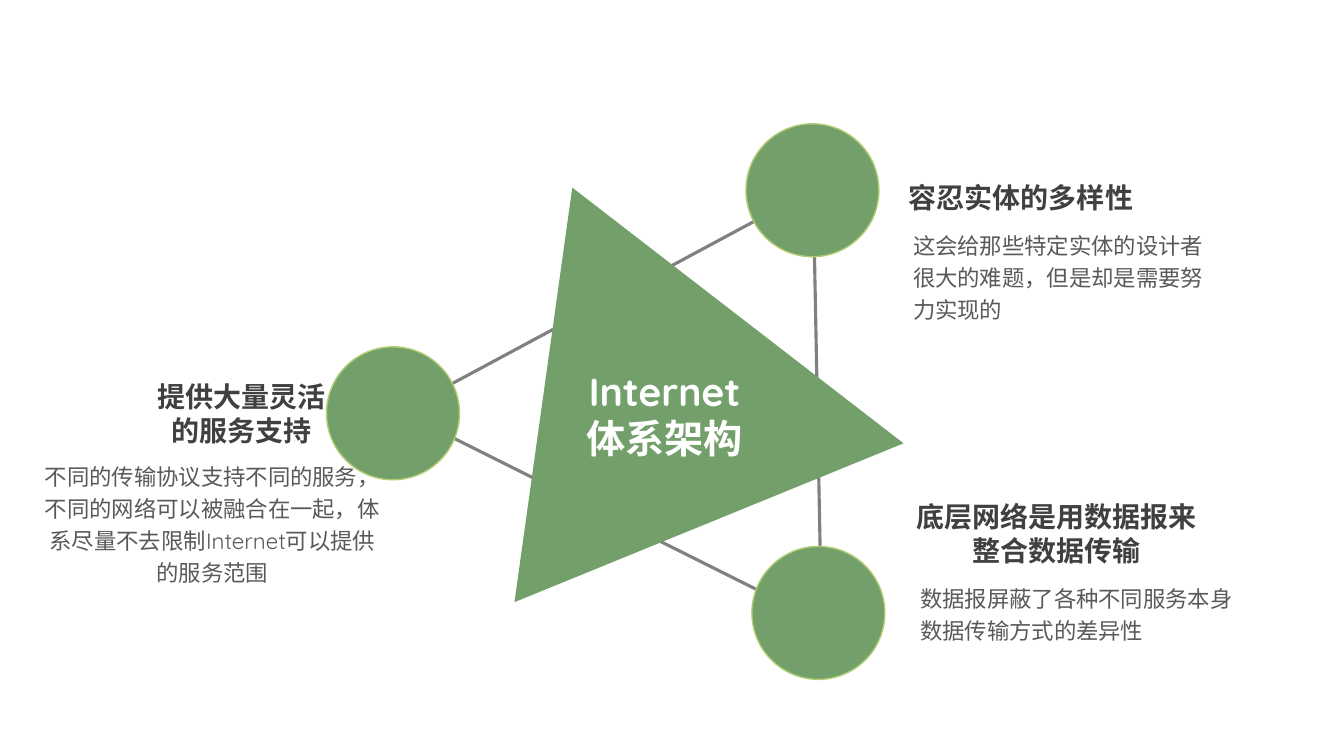
"""Build a slide on the Internet architecture: a triangle linked to three principles."""
from typing import NamedTuple

import lxml.etree
import pptx
import pptx.dml.color
import pptx.enum.shapes
import pptx.enum.text
import pptx.oxml.ns
import pptx.shapes.autoshape
import pptx.slide
import pptx.util

Cm = pptx.util.Cm
Pt = pptx.util.Pt
RGBColor = pptx.dml.color.RGBColor
MSO_SHAPE = pptx.enum.shapes.MSO_SHAPE
PP_ALIGN = pptx.enum.text.PP_ALIGN

GREEN = RGBColor(0x73, 0xA0, 0x6A)
LIME = RGBColor(0xB1, 0xCC, 0x71)
GRAY = RGBColor(0x80, 0x80, 0x80)
TITLE_COLOR = RGBColor(0x40, 0x40, 0x40)
BODY_COLOR = RGBColor(0x59, 0x59, 0x59)
WHITE = RGBColor(0xFF, 0xFF, 0xFF)
FONT = "Quicksand"
DIAMETER = 3.35


class Box(NamedTuple):
    left: float
    top: float
    width: float
    height: float

    def lengths(self) -> list[pptx.util.Length]:
        return [Cm(v) for v in self]


class Link(NamedTuple):
    x1: float
    y1: float
    x2: float
    y2: float


class Principle(NamedTuple):
    circle: Box
    title: str
    title_box: Box
    body: str
    body_box: Box
    body_align: PP_ALIGN


LINKS = [
    Link(11.05, 10.85, 19.74, 15.19),
    Link(20.5, 5.13, 20.68, 14.43),
    Link(10.29, 10.26, 19.99, 5.05),
]

PRINCIPLES = [
    Principle(
        Box(18.8, 3.12, DIAMETER, DIAMETER),
        "容忍实体的多样性", Box(22.25, 4.42, 6.96, 1.12),
        "这会给那些特定实体的设计者很大的难题，但是却是需要努力实现的",
        Box(22.76, 5.59, 8.36, 2.72), PP_ALIGN.LEFT,
    ),
    Principle(
        Box(18.95, 13.77, DIAMETER, DIAMETER),
        "底层网络是用数据报来整合数据传输", Box(22.63, 12.47, 8, 1.96),
        "数据报屏蔽了各种不同服务本身数据传输方式的差异性",
        Box(22.94, 14.48, 8.64, 1.9), PP_ALIGN.LEFT,
    ),
    Principle(
        Box(8.23, 8.74, DIAMETER, DIAMETER),
        "提供大量灵活的服务支持", Box(3.58, 9.45, 5, 1.96),
        "不同的传输协议支持不同的服务，不同的网络可以被融合在一起，"
        "体系尽量不去限制Internet可以提供的服务范围",
        Box(0.81, 11.4, 9.09, 3.53), PP_ALIGN.CENTER,
    ),
]


def add_link(s: pptx.slide.Slide, link: Link) -> None:
    sp = s.shapes.add_connector(
        pptx.enum.shapes.MSO_CONNECTOR.STRAIGHT, *[Cm(v) for v in link]
    )
    sp.line.color.rgb = GRAY
    sp.line.width = Pt(2.25)
    lxml.etree.SubElement(sp._element.spPr, pptx.oxml.ns.qn("a:effectLst"))


def add_figure(
    s: pptx.slide.Slide, kind: MSO_SHAPE, box: Box
) -> pptx.shapes.autoshape.Shape:
    sp = s.shapes.add_shape(kind, *box.lengths())
    sp.shadow.inherit = False
    sp.fill.solid()
    sp.fill.fore_color.rgb = GREEN
    sp.line.fill.background()
    return sp


def add_text(
    s: pptx.slide.Slide, text: str, box: Box, *, size: float, color: RGBColor,
    bold: bool = False, align: PP_ALIGN = PP_ALIGN.CENTER, spacing: float = 1.0,
) -> None:
    tf = s.shapes.add_textbox(*box.lengths()).text_frame
    tf.word_wrap = True
    tf.auto_size = pptx.enum.text.MSO_AUTO_SIZE.SHAPE_TO_FIT_TEXT
    p = tf.paragraphs[0]
    p.alignment = align
    p.line_spacing = spacing
    r = p.add_run()
    r.text = text
    r.font.name = FONT
    r.font.size = Pt(size)
    r.font.bold = bold
    r.font.color.rgb = color


def main() -> None:
    prs = pptx.Presentation()
    prs.slide_width, prs.slide_height = Cm(33.87), Cm(19.05)
    s = prs.slides.add_slide(prs.slide_layouts[6])

    for link in LINKS:
        add_link(s, link)

    triangle = add_figure(s, MSO_SHAPE.ISOSCELES_TRIANGLE, Box(10.85, 4.39, 10.59, 9.12))
    triangle.rotation = 337.8
    add_text(s, "Internet体系架构", Box(14.25, 9.12, 5, 2.64),
             size=28, color=WHITE, bold=True)

    for item in PRINCIPLES:
        add_text(s, item.body, item.body_box, size=16, color=BODY_COLOR,
                 align=item.body_align, spacing=1.2)
        circle = add_figure(s, MSO_SHAPE.OVAL, item.circle)
        circle.line.color.rgb = LIME
        circle.line.width = Pt(1)
        add_text(s, item.title, item.title_box, size=20, color=TITLE_COLOR, bold=True)

    prs.save("out.pptx")


if __name__ == "__main__":
    main()
